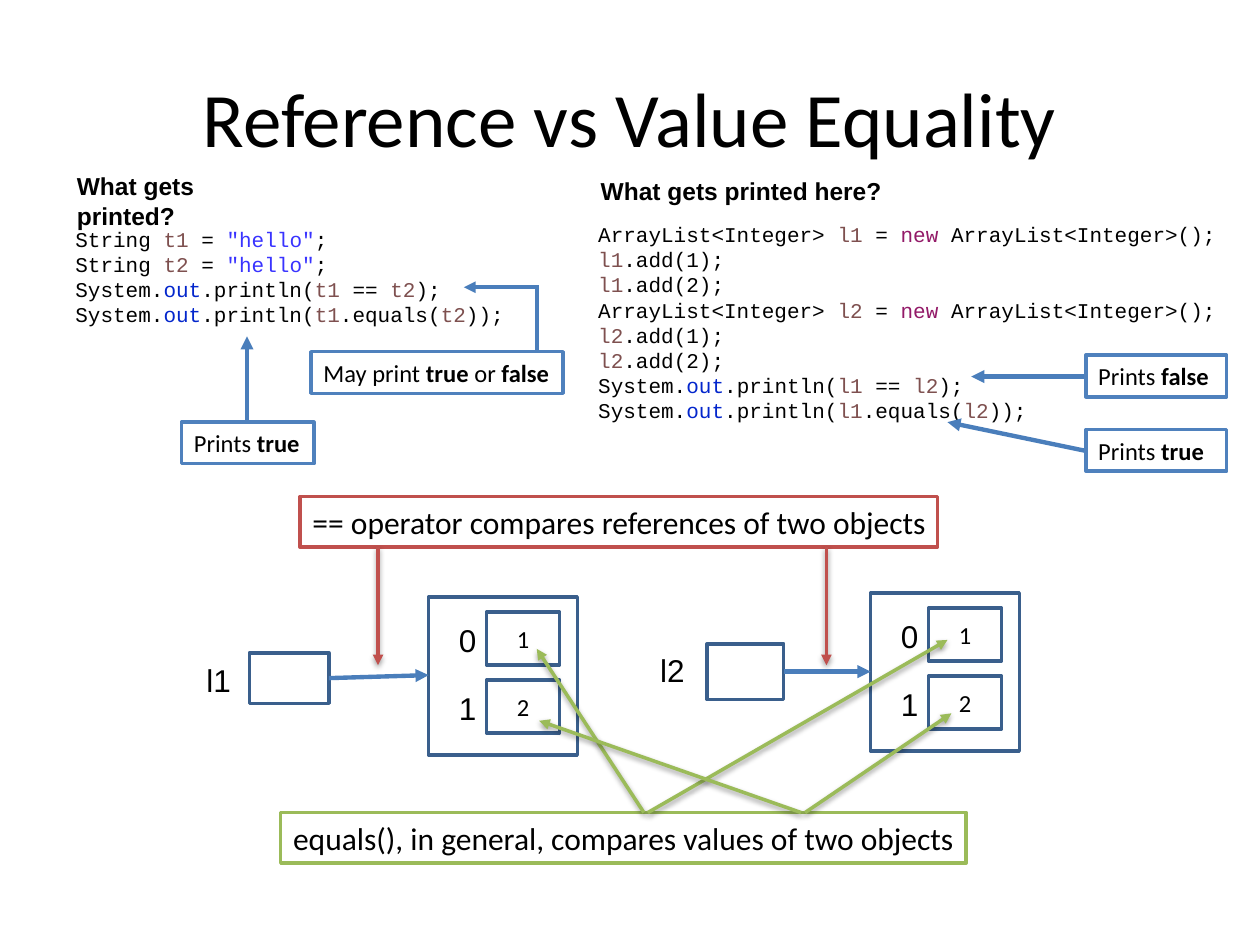
from lxml import etree
from pptx import Presentation
from pptx import util as u
from pptx.dml.color import RGBColor
from pptx.enum import shapes, text
from pptx.oxml import ns

TITLE = "Reference vs Value Equality"
HEADINGS = [
    ("What gets printed?", (1.3, 3.33, 4.98, 0.84)),
    ("What gets printed here?", (11.86, 3.43, 6.17, 0.84)),
]
CODE = [
    ((1.27, 4.44, 12.7, 2.29), [
        'String |t1 |= |"hello"|;',
        'String |t2 |= |"hello"|;',
        "System.|out|.println(|t1| == |t2|);",
        "System.|out|.println(|t1|.equals(|t2|));",
    ]),
    ((11.81, 4.34, 13.08, 4.32), [
        "ArrayList<Integer> |l1| = |new |ArrayList<Integer>();",
        "l1|.add(1);",
        "l1|.add(2);",
        "ArrayList<Integer> |l2| = |new |ArrayList<Integer>();",
        "l2|.add(1);",
        "l2|.add(2);",
        "System.|out|.println(|l1| == |l2|);",
        "System.|out|.println(|l1|.equals(|l2|));",
    ]),
]
TOKEN_COLORS = {
    **dict.fromkeys(["t1", "t2", "l1", "l2"], "7E504F"),
    '"hello"': "3933FF", "out": "0326CC", "new": "931A68",
}
BOLD_WORDS = {"true", "false"}

BLUE, BORDER, NAVY, RED, GREEN = "4A7EBB", "4F81BD", "3A5F8C", "C0504D", "9BBB59"
CALLOUTS = [
    ("May print |true| or |false", (6.27, 7.09, 5.08, 0.84)),
    ("Prints |true", (3.66, 8.51, 2.67, 0.84)),
    ("Prints |true", (21.89, 8.66, 2.84, 0.84)),
    ("Prints |false", (21.89, 7.16, 2.84, 0.84)),
]
BANNERS = [
    ("== operator compares references of two objects", RED, (6.05, 10.01, 12.85, 1.02)),
    ("equals(), in general, compares values of two objects", GREEN, (5.66, 16.38, 13.82, 1.02)),
]
LISTS = [
    {"name": "l1", "label": (3.91, 13.21), "variable": (5.03, 13.16, 1.6, 1.02), "frame": (8.64, 12.04)},
    {"name": "l2", "label": (13.06, 13.0), "variable": (14.25, 12.98, 1.55, 1.12), "frame": (17.55, 11.96)},
]
ELEMENTS = ["1", "2"]
ELEMENT_STEP = 1.37

CALLOUT_ARROWS = [
    (10.87, 5.79, 9.35, 5.79, 2.25),
    (4.98, 8.51, 4.98, 6.78, 2.5),
    (21.89, 9.09, 19.1, 8.51, 2.5),
    (22.07, 7.59, 19.58, 7.59, 2.5),
]
POINTERS = [(6.63, 13.67, 8.64, 13.61, 2.5), (15.8, 13.54, 17.55, 13.54, 2.5)]
COMPARISONS = [
    (RED, (7.62, 11.02, 7.62, 13.41)),
    (RED, (16.66, 11.02, 16.66, 13.41)),
    (GREEN, (12.98, 16.38, 10.82, 13.08)),
    (GREEN, (13.06, 16.38, 19.1, 12.9)),
    (GREEN, (16.15, 16.38, 10.87, 14.53)),
    (GREEN, (16.23, 16.38, 19.18, 14.38)),
]


def color(hex_value):
    return RGBColor.from_string(hex_value)


def lengths(values):
    return [u.Cm(value) for value in values]


def write(shape, lines, font, size, bold=None, centered=False, wrap=True, spacing=None):
    frame = shape.text_frame
    frame.word_wrap = wrap
    frame.vertical_anchor = text.MSO_ANCHOR.MIDDLE if centered else text.MSO_ANCHOR.TOP
    for index, line in enumerate(lines):
        paragraph = frame.add_paragraph() if index else frame.paragraphs[0]
        paragraph.alignment = text.PP_ALIGN.CENTER if centered else text.PP_ALIGN.LEFT
        if spacing:
            paragraph.line_spacing = u.Pt(spacing)
        paragraph.font.name = font
        paragraph.font.size = u.Pt(size)
        paragraph.font.bold = bold
        paragraph.font.color.rgb = color("000000")
        for part in line.split("|"):
            run = paragraph.add_run()
            run.text = part
            token = part.strip()
            if spacing and token in TOKEN_COLORS:
                run.font.color.rgb = color(TOKEN_COLORS[token])
            if token in BOLD_WORDS:
                run.font.bold = True


def add_text(slide, box, lines, font, size, **options):
    write(slide.shapes.add_textbox(*lengths(box)), lines, font, size, **options)


def add_box(slide, box, line_color, fill=None):
    shape = slide.shapes.add_shape(shapes.MSO_SHAPE.RECTANGLE, *lengths(box))
    shape.shadow.inherit = False
    if fill:
        shape.fill.solid()
        shape.fill.fore_color.rgb = color(fill)
    else:
        shape.fill.background()
    shape.line.color.rgb = color(line_color)
    shape.line.width = u.Pt(2)
    return shape


def add_line(slide, points, line_color, width, arrow=True, shadow=False):
    connector = slide.shapes.add_connector(shapes.MSO_CONNECTOR.STRAIGHT, *lengths(points))
    connector.line.color.rgb = color(line_color)
    connector.line.width = u.Pt(width)
    if arrow:
        etree.SubElement(connector.line._get_or_add_ln(), ns.qn("a:tailEnd"), type="triangle")
    effects = etree.SubElement(connector._element.spPr, ns.qn("a:effectLst"))
    if shadow:
        outer = etree.SubElement(effects, ns.qn("a:outerShdw"), blurRad="40000",
                                 dist="20000", dir="5400000", rotWithShape="0")
        tint = etree.SubElement(outer, ns.qn("a:srgbClr"), val="000000")
        etree.SubElement(tint, ns.qn("a:alpha"), val="38000")


def add_list(slide, item):
    left, top = item["frame"]
    add_box(slide, item["variable"], NAVY)
    add_text(slide, (*item["label"], 1.12, 1.02), [item["name"]], "Arial", 18)
    add_box(slide, (left, top, 3, 3.18), NAVY)
    for index, value in enumerate(ELEMENTS):
        row = top + index * ELEMENT_STEP
        cell = add_box(slide, (left + 1.17, row + 0.3, 1.47, 1.07), NAVY)
        write(cell, [value], "Calibri", 14, centered=True)
        add_text(slide, (left + 0.36, row + 0.36, 0.86, 1.02), [str(index)], "Arial", 18, wrap=False)


def main():
    presentation = Presentation()
    presentation.slide_width, presentation.slide_height = u.Cm(25.4), u.Cm(19.05)
    slide = presentation.slides.add_slide(presentation.slide_layouts[5])
    title = slide.shapes.title
    title.left, title.top, title.width, title.height = lengths((1.27, 0.76, 22.86, 3.18))
    write(title, [TITLE], "Calibri", 44, centered=True)

    for heading, box in HEADINGS:
        add_text(slide, box, [heading], "Arial", 14, bold=True, wrap=False)
    for box, lines in CODE:
        add_text(slide, box, lines, "Courier New", 12, spacing=14.4)
    for item in LISTS:
        add_list(slide, item)
    for *points, width in CALLOUT_ARROWS + POINTERS:
        add_line(slide, points, BLUE, width)
    add_line(slide, (10.82, 5.79, 10.82, 7.09), BLUE, 2.25, arrow=False)
    for label, box in CALLOUTS:
        write(add_box(slide, box, BORDER, "FFFFFF"), [label], "Calibri", 14)
    for label, line_color, box in BANNERS:
        write(add_box(slide, box, line_color, "FFFFFF"), [label], "Calibri", 18, wrap=False)
    for line_color, points in COMPARISONS:
        add_line(slide, points, line_color, 2, shadow=True)
    presentation.save("out.pptx")


if __name__ == "__main__":
    main()
